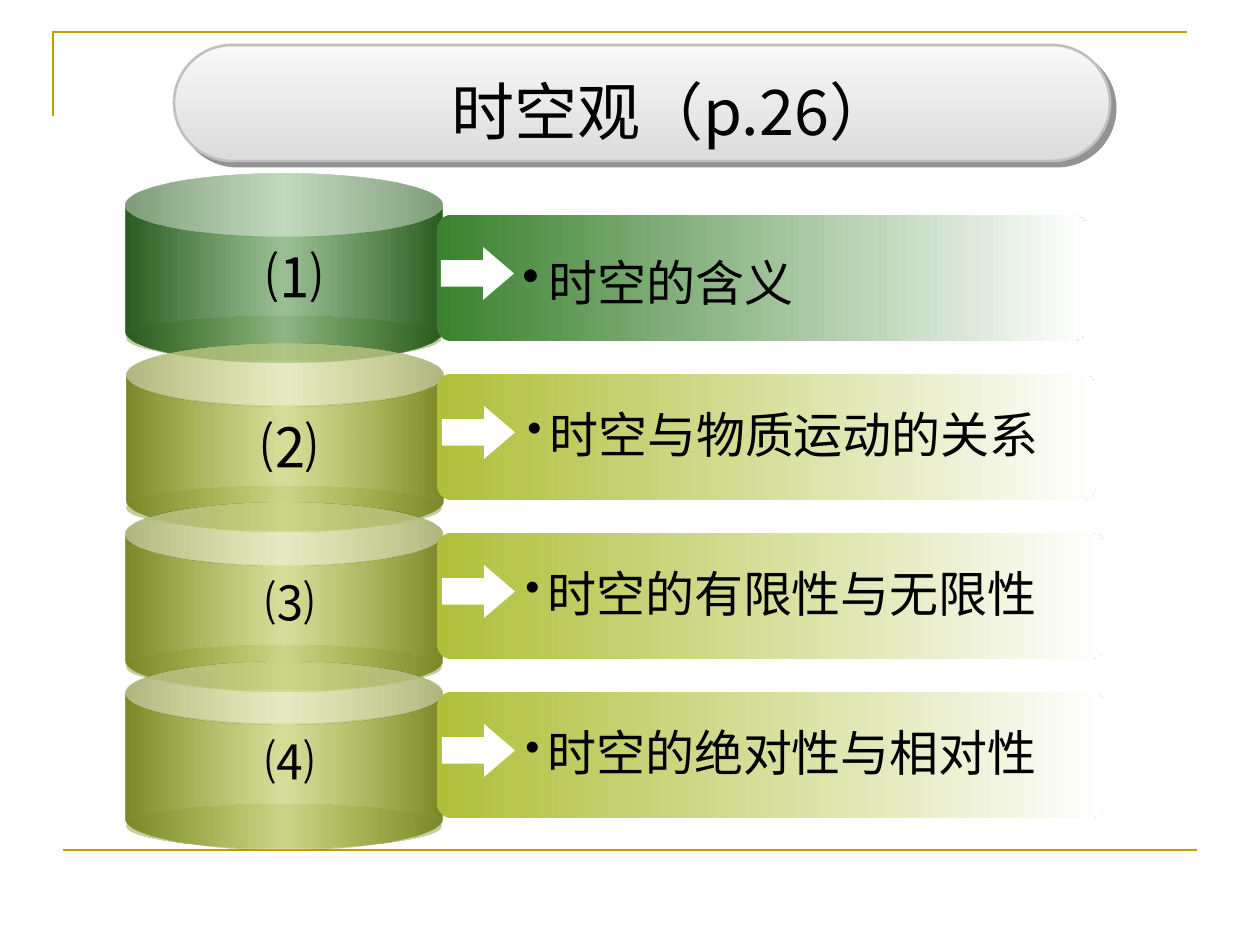
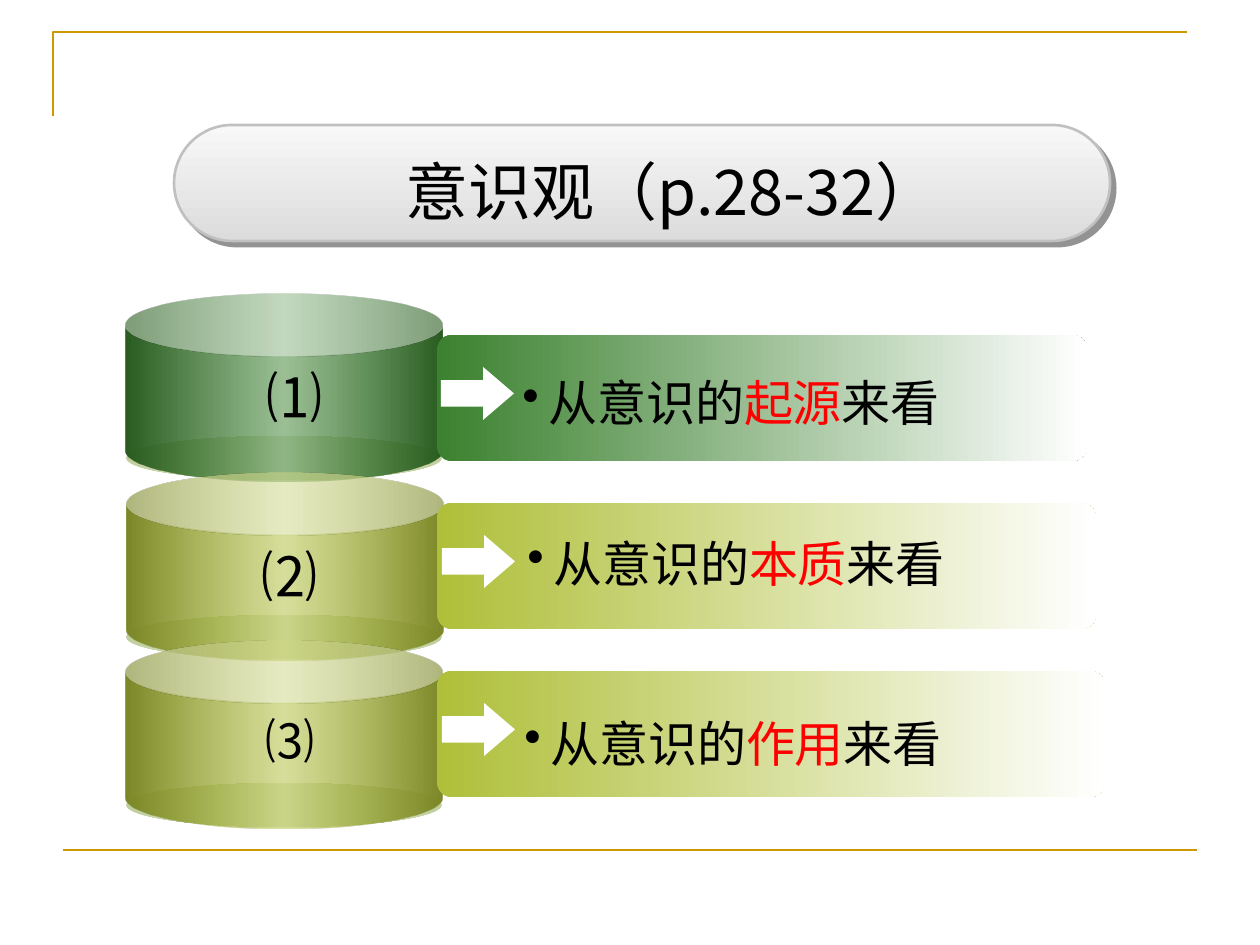
from lxml.etree import SubElement
from pptx import Presentation
from pptx.dml.color import RGBColor
from pptx.enum.shapes import MSO_CONNECTOR as Connector, MSO_SHAPE as Shape
from pptx.enum.text import MSO_ANCHOR as Anchor, PP_ALIGN as Align
from pptx.oxml.ns import qn
from pptx.util import Emu, Pt

SCALE = 914400 / 126
FONT = "Noto Sans CJK SC"
COLORS = {
    "gold": "CC9900", "black": "000000", "red": "FF0000", "white": "FFFFFF",
    "green": "3B812F", "olive": "AFBF39", "rim": "C1CF9D", "glow": "E7ECDC",
    "silver": "F8F8F8", "edge": "C0C0C0", "shadow": "292929",
}


def px(length):
    """Turn pixels into EMU."""
    return Emu(round(length * SCALE))


def rgb(name):
    """Return a named colour."""
    return RGBColor.from_string(COLORS[name])


class Painter:
    """Holds the deck, its style and the current page."""

    def __init__(self):
        """Open a deck of 10 by 7.5 inches."""
        self.deck = Presentation()
        self.deck.slide_width, self.deck.slide_height = px(1260), px(945)

    def add_page(self):
        """Start a page with the gold frame."""
        self.page = self.deck.slides.add_slide(self.deck.slide_layouts[6])
        builder = self.page.shapes.build_freeform(53, 116, scale=SCALE)
        builder.add_line_segments([(53, 32), (1187, 32)], close=False)
        corner = builder.convert_to_shape()
        corner.shadow.inherit = False
        corner.fill.background()
        self.outline(corner, "gold")
        rule = self.page.shapes.add_connector(
            Connector.STRAIGHT, px(63), px(850), px(1197), px(850))
        self.outline(rule, "gold")
        SubElement(rule._element.spPr, qn("a:effectLst"))

    def outline(self, shape, color):
        """Draw the shared line width in one colour."""
        shape.line.color.rgb = rgb(color)
        shape.line.width = Pt(1.5)

    def shape(self, kind, box, fill, angle=0, adjust=()):
        """Add a preset shape with a plain colour or gradient stops."""
        item = self.page.shapes.add_shape(kind, *map(px, box))
        item.shadow.inherit = False
        item.line.fill.background()
        for index, value in enumerate(adjust):
            item.adjustments[index] = value
        if isinstance(fill, str):
            item.fill.solid()
            item.fill.fore_color.rgb = rgb(fill)
        else:
            self.gradient(item, fill, angle)
        return item

    def gradient(self, item, stops, angle):
        """Fill with evenly spaced stops of colour, modifier and percent."""
        properties = item._element.spPr
        fill = SubElement(properties, qn("a:gradFill"), rotWithShape="1")
        properties.insert(2, fill)
        stop_list = SubElement(fill, qn("a:gsLst"))
        for index, (name, *modifier) in enumerate(stops):
            place = 100000 * index // (len(stops) - 1)
            stop = SubElement(stop_list, qn("a:gs"), pos=str(place))
            color = SubElement(stop, qn("a:srgbClr"), val=COLORS[name])
            if modifier:
                kind, percent = modifier
                SubElement(color, qn(f"a:{kind}"), val=str(percent * 1000))
        SubElement(fill, qn("a:lin"), ang=str(angle * 60000), scaled="1")

    def text(self, box, spans, size, align=Align.CENTER):
        """Add one paragraph of (wording, colour) spans."""
        frame = self.page.shapes.add_textbox(*map(px, box)).text_frame
        frame.word_wrap = True
        frame.vertical_anchor = Anchor.MIDDLE
        para = frame.paragraphs[0]
        para.alignment = align
        for wording, color in spans:
            span = para.add_run()
            span.text = wording
            span.font.size = Pt(size)
            span.font.name = FONT
            span.font.color.rgb = rgb(color)
            SubElement(span.font._element, qn("a:ea"), typeface=FONT)
        return para

    def bullet(self, para, indent, percent):
        """Give a paragraph a hanging bullet."""
        properties = para._p.get_or_add_pPr()
        properties.set("marL", str(px(indent)))
        properties.set("indent", str(px(-indent)))
        SubElement(properties, qn("a:buSzPct"), val=str(percent * 1000))
        SubElement(properties, qn("a:buChar"), char="•")

    def title(self, top, wording):
        """Add the silver pill and its title."""
        pill = self.shape(Shape.ROUNDED_RECTANGLE, (174, top, 936, 116),
                          [("silver",), ("silver", "shade", 76)], 90, [0.5])
        self.outline(pill, "edge")
        effects = pill._element.spPr.find(qn("a:effectLst"))
        shadow = SubElement(effects, qn("a:outerShdw"), dist=str(Pt(4.2)),
                            dir="2700000", algn="ctr", rotWithShape="0")
        color = SubElement(shadow, qn("a:srgbClr"), val=COLORS["shadow"])
        SubElement(color, qn("a:alpha"), val="50000")
        self.text((250, top + 21, 844, 89), [(wording, "black")], 36)

    def row(self, index, top, topic):
        """Add one can, its fading panel, the arrow and the topic."""
        first = index == 0
        color = "green" if first else "olive"
        can_top = top - (41 if first else 30)
        label, left, drop, bullet_size, spans = topic
        dark = (color, "shade", 46)
        self.shape(Shape.OVAL, (126, can_top + 142, 316, 44),
                   [("rim",), ("glow",), ("rim",)])
        self.shape(Shape.CAN, (127 if index == 1 else 126, can_top, 316, 188),
                   [dark, (color, "alpha", 50), dark], adjust=[0.332])
        self.shape(Shape.ROUNDED_RECTANGLE,
                   (437, top, min(650 + 9 * index, 668), 126),
                   [(color,), ("white",)], adjust=[0.115])
        large = index < 2
        self.text((148 if first else 143, can_top + 63, 293, 79 if large else 72),
                  [(label, "black")], 32 if large else 28)
        self.shape(Shape.RIGHT_ARROW, (441 if first else 442, top + 32, 73, 53),
                   "white", adjust=[0.5, 0.583])
        para = self.text((left, top + drop, 670, 72), spans, 28, Align.LEFT)
        self.bullet(para, 26 if bullet_size == 28 else 22,
                    round(100 * bullet_size / 28))


def plain(wording):
    """Return a single black span."""
    return [(wording, "black")]


def aspect(word):
    """Return the consciousness line with its red key word."""
    return [("从意识的", "black"), (word, "red"), ("来看", "black")]


PAGES = [
    ("时空观（p.26）", 45, 215, 159, [
        ("⑴", 510, 31, 28, plain("时空的含义")),
        ("⑵", 515, 24, 24, plain("时空与物质运动的关系")),
        ("⑶", 513, 24, 24, plain("时空的有限性与无限性")),
        ("⑷", 513, 24, 24, plain("时空的绝对性与相对性")),
    ]),
    ("意识观（p.28-32）", 125, 335, 168, [
        ("⑴", 510, 31, 28, aspect("起源")),
        ("⑵", 515, 24, 28, aspect("本质")),
        ("⑶", 512, 36, 28, aspect("作用")),
    ]),
]


def main():
    """Build both pages and save the deck."""
    painter = Painter()
    for wording, title_top, first_top, pitch, topics in PAGES:
        painter.add_page()
        painter.title(title_top, wording)
        for index, topic in enumerate(topics):
            painter.row(index, first_top + index * pitch, topic)
    painter.deck.save("out.pptx")


if __name__ == "__main__":
    main()
